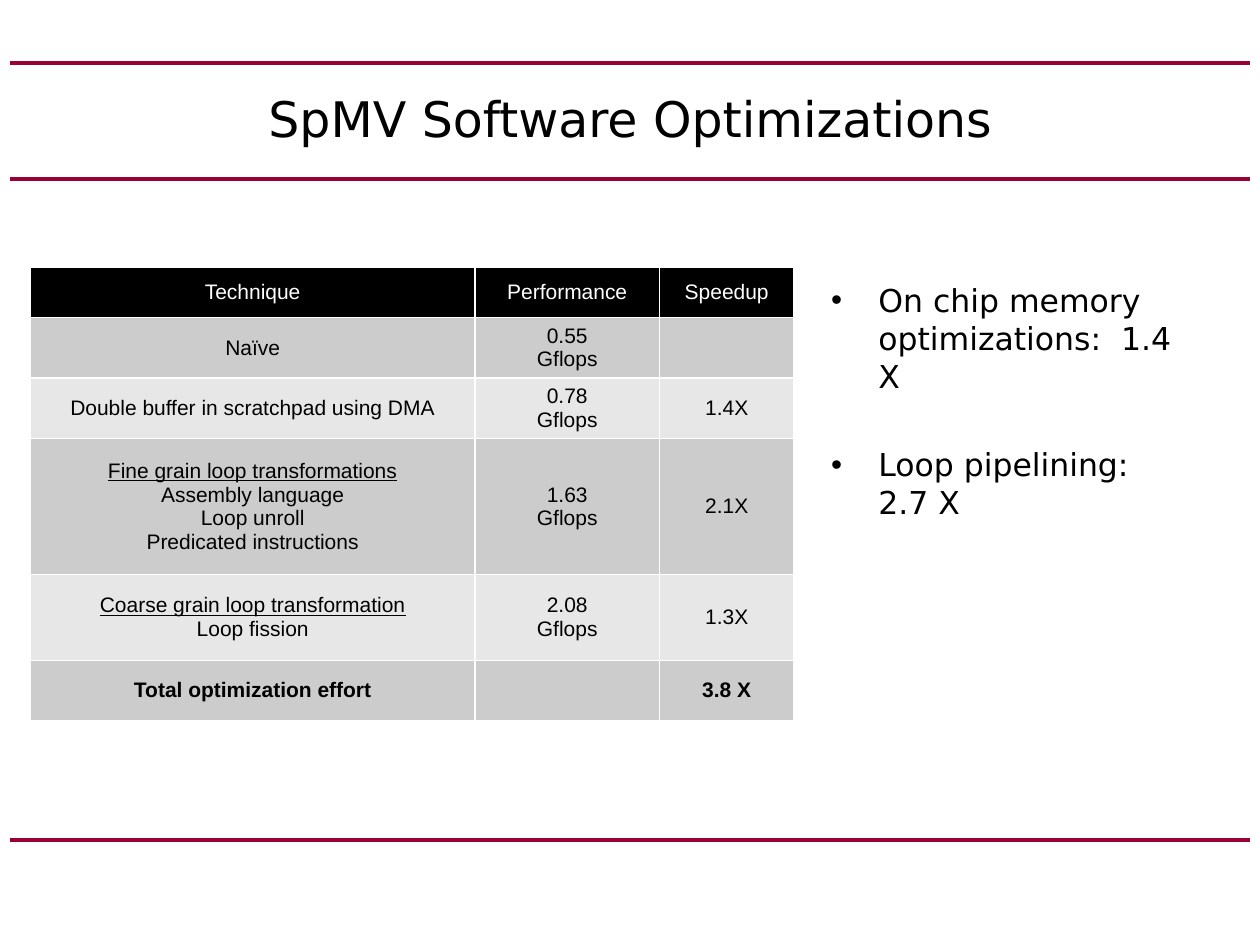
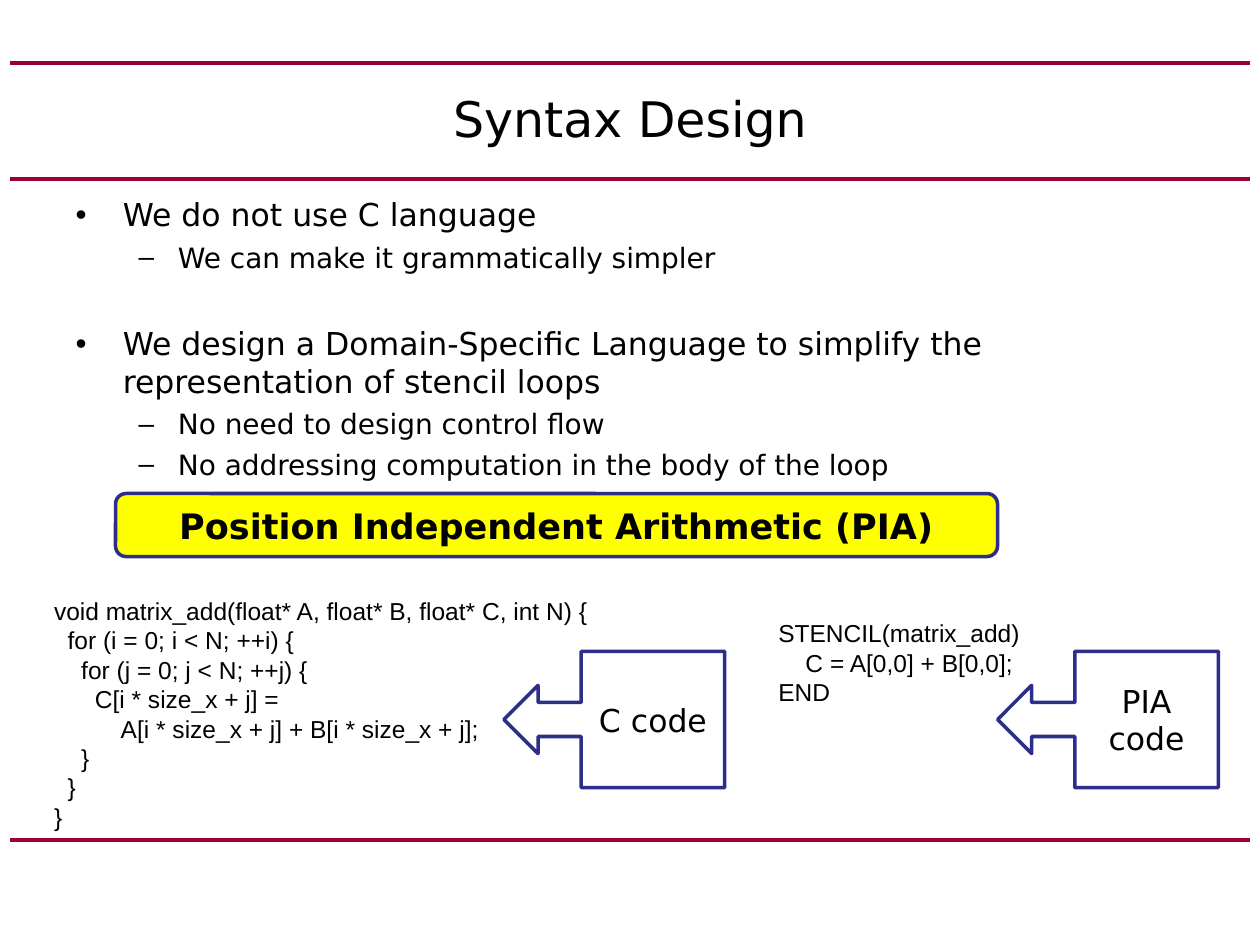
from lxml import etree
from pptx import Presentation
from pptx.dml.color import RGBColor
from pptx.enum.shapes import MSO_CONNECTOR, MSO_SHAPE
from pptx.enum.text import MSO_ANCHOR, MSO_AUTO_SIZE, PP_ALIGN
from pptx.oxml.ns import qn
from pptx.util import Cm, Pt

LINE = MSO_CONNECTOR.STRAIGHT
CALLOUT, ROUNDED = MSO_SHAPE.LEFT_ARROW_CALLOUT, MSO_SHAPE.ROUNDED_RECTANGLE
MIDDLE = MSO_ANCHOR.MIDDLE
NO_FIT = MSO_AUTO_SIZE.NONE
LEFT, CENTER = PP_ALIGN.LEFT, PP_ALIGN.CENTER

# Shared look
BLACK, WHITE, CRIMSON, NAVY, YELLOW = "000000", "FFFFFF", "990033", "2D2D8A", "FFFF00"
ROW_FILLS = ["CCCCCC", "E7E7E7"]
TITLE = {"name": "DejaVu Sans", "size": Pt(28)}
LEVELS = [{"name": "DejaVu Sans", "size": Pt(18)},
          {"name": "DejaVu Sans", "size": Pt(16)}]
BANNER = {"name": "DejaVu Sans", "size": Pt(20), "bold": True}
CODE = {"name": "Arial", "size": Pt(14)}
CELL = {"name": "Arial", "size": Pt(12), "bold": False}
RULE_TOPS = [1.27, 3.61, 16.94]
SECTION_GAP = Pt(29)

# Table content: each cell is a list of lines
COLUMNS = [8.97, 3.71, 2.72]
ROW_HEIGHTS = [1.02, 1.22, 1.22, 2.74, 1.73, 1.22]
ROWS = [
    [["Technique"], ["Performance"], ["Speedup"]],
    [["Naïve"], ["0.55", "Gflops"], []],
    [["Double buffer in scratchpad using DMA"], ["0.78", "Gflops"], ["1.4X"]],
    [["Fine grain loop transformations", "Assembly language", "Loop unroll",
      "Predicated instructions"], ["1.63", "Gflops"], ["2.1X"]],
    [["Coarse grain loop transformation", "Loop fission"], ["2.08", "Gflops"], ["1.3X"]],
    [["Total optimization effort"], [], ["3.8 X"]],
]

C_CODE = """void matrix_add(float* A, float* B, float* C, int N) {
  for (i = 0; i < N; ++i) {
    for (j = 0; j < N; ++j) {
      C[i * size_x + j] =
          A[i * size_x + j] + B[i * size_x + j];
    }
  }
}"""
PIA_CODE = """STENCIL(matrix_add)
    C = A[0,0] + B[0,0];
END"""


def rgb(value):
    return RGBColor.from_string(value)


def place(shape, left, top, width, height):
    box = {"left": left, "top": top, "width": width, "height": height}
    for name, value in box.items():
        setattr(shape, name, Cm(value))


def write(p, text, font, color=BLACK, align=LEFT):
    p.alignment = align
    r = p.add_run()
    r.text = text
    for name, value in font.items():
        setattr(r.font, name, value)
    r.font.color.rgb = rgb(color)
    return r


def write_lines(tf, lines, font, color=BLACK, align=LEFT):
    for i, line in enumerate(lines):
        p = tf.add_paragraph() if i else tf.paragraphs[0]
        write(p, line, font, color, align)


def add_rule(s, top):
    rule = s.shapes.add_connector(LINE, Cm(0.2), Cm(top), Cm(25.2), Cm(top))
    rule.line.color.rgb = rgb(CRIMSON)
    rule.line.width = Pt(2.25)
    etree.SubElement(rule._element.spPr, qn("a:effectLst"))


def add_slide(prs, title):
    s = prs.slides.add_slide(prs.slide_layouts[1])
    for top in RULE_TOPS:
        add_rule(s, top)
    place(s.shapes.title, 1.27, 1.27, 22.86, 2.21)
    tf = s.shapes.title.text_frame
    tf.vertical_anchor = MIDDLE
    write(tf.paragraphs[0], title, TITLE, align=CENTER)
    return s


def fill_body(s, box, items):
    """Items are (level, text); a later top-level item opens a new section."""
    body = s.placeholders[1]
    place(body, *box)
    tf = body.text_frame
    tf.auto_size = NO_FIT
    for i, (level, text) in enumerate(items):
        p = tf.add_paragraph() if i else tf.paragraphs[0]
        p.level = level
        p.space_before = Pt(4) if level else SECTION_GAP if i else Pt(0)
        write(p, text, LEVELS[level])


def add_results_table(s, left, top):
    frame = s.shapes.add_table(len(ROWS), len(COLUMNS), Cm(left), Cm(top),
                               Cm(sum(COLUMNS)), Cm(sum(ROW_HEIGHTS)))
    table = frame.table
    for column, width in zip(table.columns, COLUMNS):
        column.width = Cm(width)
    for i, (row, height) in enumerate(zip(ROWS, ROW_HEIGHTS)):
        table.rows[i].height = Cm(height)
        is_total = i == len(ROWS) - 1
        for j, lines in enumerate(row):
            cell = table.cell(i, j)
            cell.fill.solid()
            cell.fill.fore_color.rgb = rgb(ROW_FILLS[(i - 1) % 2] if i else BLACK)
            cell.vertical_anchor = MIDDLE
            cell.margin_top = cell.margin_bottom = Cm(0.1)
            write_lines(cell.text_frame, lines, {**CELL, "bold": is_total},
                        BLACK if i else WHITE, CENTER)
            # A technique with details has its name underlined
            if j == 0 and len(lines) > 1:
                cell.text_frame.paragraphs[0].runs[0].font.underline = True


def add_code(s, box, code):
    tf = s.shapes.add_textbox(*map(Cm, box)).text_frame
    tf.word_wrap = True
    write_lines(tf, code.split("\n"), CODE)


def add_label(s, kind, box, text, fill, font):
    sp = s.shapes.add_shape(kind, *map(Cm, box))
    sp.shadow.inherit = False
    sp.fill.solid()
    sp.fill.fore_color.rgb = rgb(fill)
    sp.line.color.rgb = rgb(NAVY)
    sp.line.width = Pt(2)
    tf = sp.text_frame
    tf.word_wrap = True
    tf.vertical_anchor = MIDDLE
    write(tf.paragraphs[0], text, font, align=CENTER)


def main():
    prs = Presentation()
    prs.slide_width, prs.slide_height = Cm(25.4), Cm(19.05)

    # Optimization results
    s = add_slide(prs, "SpMV Software Optimizations")
    add_results_table(s, 0.61, 5.38)
    fill_body(s, (16.5, 5.54, 7.62, 9.4), [
        (0, "On chip memory optimizations:  1.4 X"),
        (0, "Loop pipelining:  2.7 X"),
    ])

    # Language syntax
    s = add_slide(prs, "Syntax Design")
    fill_body(s, (1.27, 3.81, 22.86, 7.82), [
        (0, "We do not use C language"),
        (1, "We can make it grammatically simpler"),
        (0, "We design a Domain-Specific Language to simplify the "
            "representation of stencil loops"),
        (1, "No need to design control flow"),
        (1, "No addressing computation in the body of the loop"),
    ])
    add_code(s, (0.84, 11.89, 11.63, 5.05), C_CODE)
    add_code(s, (15.44, 12.34, 5.72, 2.06), PIA_CODE)
    for left, text in [(10.16, "C code"), (20.11, "PIA code")]:
        add_label(s, CALLOUT, (left, 13.13, 4.45, 2.75), text, WHITE, LEVELS[0])
    add_label(s, ROUNDED, (2.33, 9.95, 17.78, 1.27),
              "Position Independent Arithmetic (PIA)", YELLOW, BANNER)

    prs.save("out.pptx")


if __name__ == "__main__":
    main()
